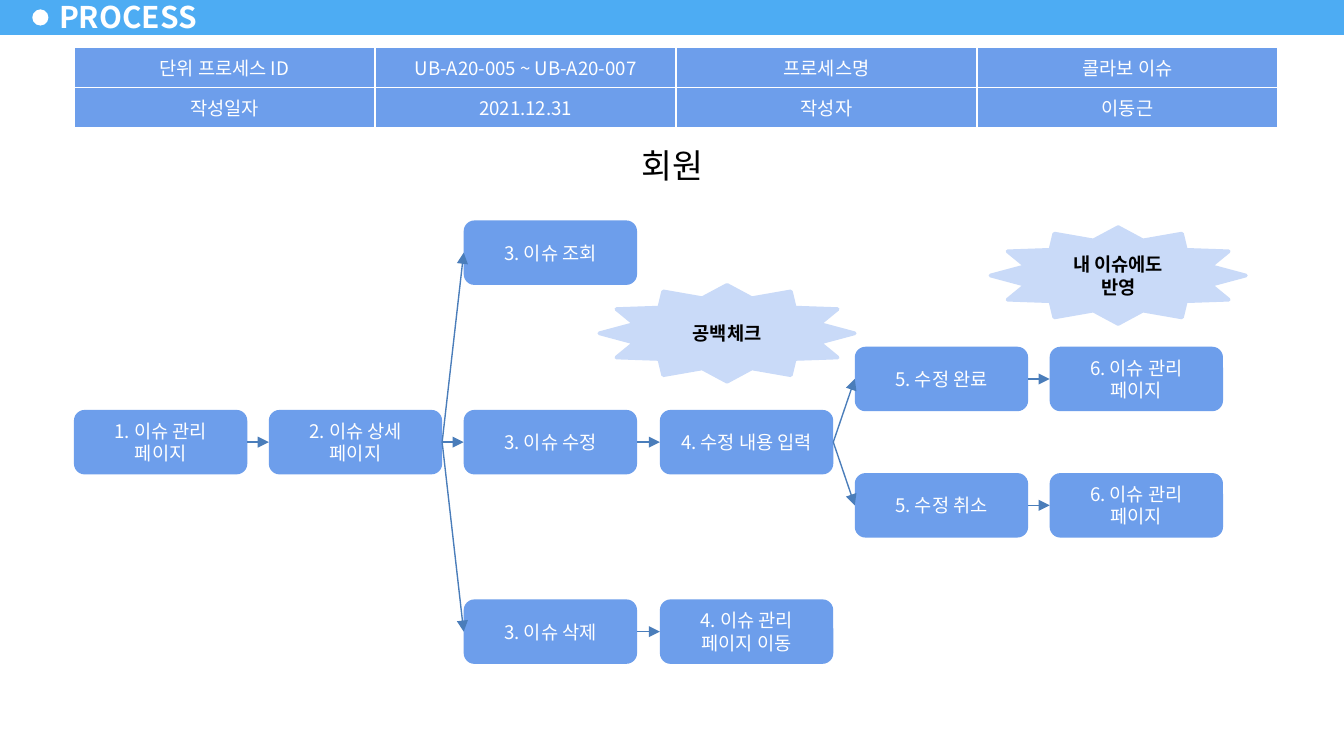
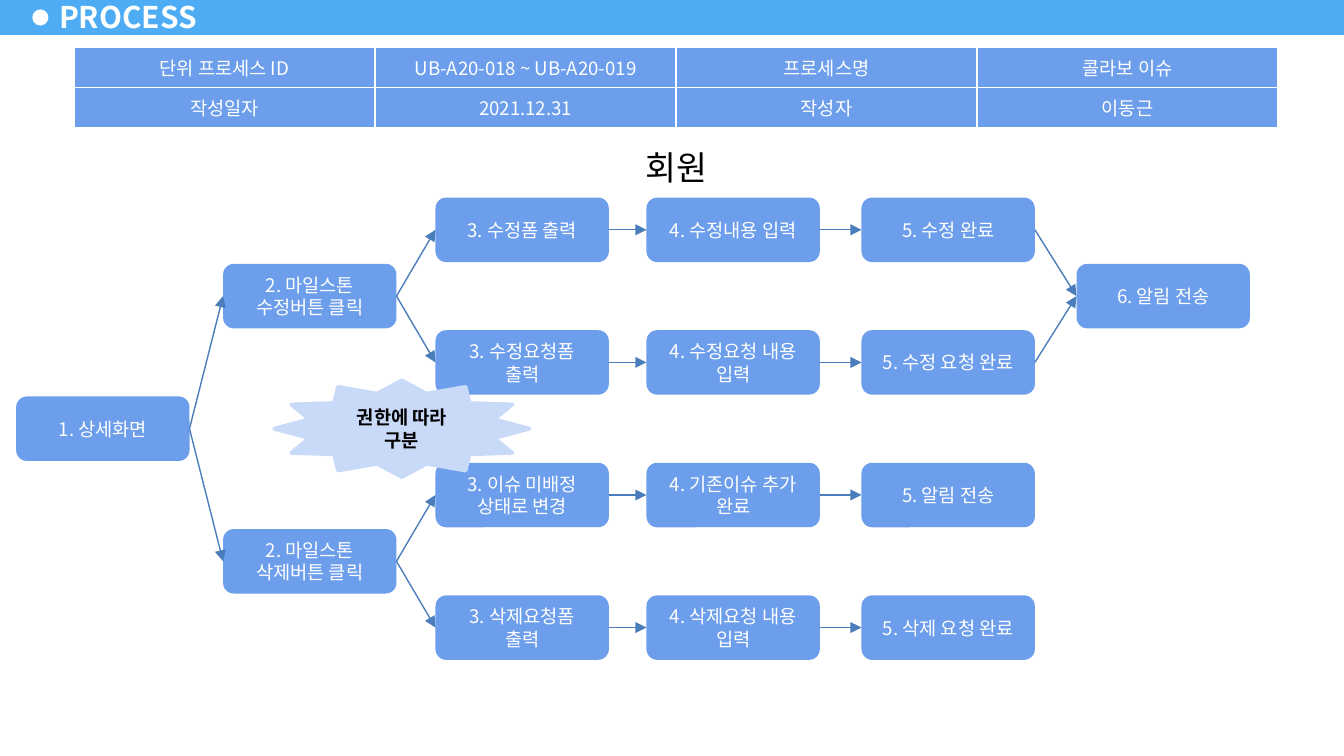
import pptx
import pptx.util
import pptx.dml.color
import pptx.enum.shapes
import pptx.enum.text
import pptx.oxml.ns
from lxml import etree

# Shared style
FONT = "Noto Sans CJK KR"
COLORS = {"band": "4DACF3", "box": "6D9EEB", "arrow": "4A7DBA",
          "note": "C9DAF8", "white": "FFFFFF", "black": "000000"}
SLIDE_W = 10
SLIDE_H = SLIDE_W * 9 / 16
BOX_W, BOX_H = 1.29, 0.48
NOTE_W, NOTE_H = 1.9, 0.72
TABLE_AT = (0.55, 0.35, 8.96, 0.6)

# Content: steps and links are addressed by (column, row) of each slide's grid
SLIDES = [
    {
        "ids": "UB-A20-005 ~ UB-A20-007",
        "actor": ("회원", (3.97, 1.03, 2.07, 0.41)),
        "cols": [0.55 + 1.45 * c for c in range(3)] + [4.91 + 1.45 * c for c in range(3)],
        "top": 1.64, "row_step": 0.47,
        "steps": {
            (0, 3): "1. 이슈 관리 페이지",
            (1, 3): "2. 이슈 상세 페이지",
            (2, 0): "3. 이슈 조회",
            (2, 3): "3. 이슈 수정",
            (2, 6): "3. 이슈 삭제",
            (3, 3): "4. 수정 내용 입력",
            (3, 6): "4. 이슈 관리 페이지 이동",
            (4, 2): "5. 수정 완료",
            (4, 4): "5. 수정 취소",
            (5, 2): "6. 이슈 관리 페이지",
            (5, 4): "6. 이슈 관리 페이지",
        },
        "links": {
            (0, 3): [(1, 3)],
            (1, 3): [(2, 0), (2, 3), (2, 6)],
            (2, 3): [(3, 3)],
            (2, 6): [(3, 6)],
            (3, 3): [(4, 2), (4, 4)],
            (4, 2): [(5, 2)],
            (4, 4): [(5, 4)],
        },
        "notes": [("공백체크", 4.46, 2.12), ("내 이슈에도 반영", 7.37, 1.69)],
    },
    {
        "ids": "UB-A20-018 ~ UB-A20-019",
        "actor": ("회원", (3.24, 1.04, 3.58, 0.41)),
        "cols": [0.12, 1.66, 3.24, 4.81, 6.41, 8.01],
        "top": 1.47, "row_step": 2.96 / 6,
        "steps": {
            (0, 3): "1. 상세화면",
            (1, 1): "2. 마일스톤 수정버튼 클릭",
            (1, 5): "2. 마일스톤 삭제버튼 클릭",
            (2, 0): "3. 수정폼 출력",
            (2, 2): "3. 수정요청폼 출력",
            (2, 4): "3. 이슈 미배정 상태로 변경",
            (2, 6): "3. 삭제요청폼 출력",
            (3, 0): "4. 수정내용 입력",
            (3, 2): "4. 수정요청 내용 입력",
            (3, 4): "4. 기존이슈 추가 완료",
            (3, 6): "4. 삭제요청 내용 입력",
            (4, 0): "5. 수정 완료",
            (4, 2): "5. 수정 요청 완료",
            (4, 4): "5. 알림 전송",
            (4, 6): "5. 삭제 요청 완료",
            (5, 1): "6. 알림 전송",
        },
        "links": {
            (0, 3): [(1, 1), (1, 5)],
            (1, 1): [(2, 0), (2, 2)],
            (1, 5): [(2, 4), (2, 6)],
            **{(c, r): [(c + 1, r)] for c in (2, 3) for r in (0, 2, 4, 6)},
            (4, 0): [(5, 1)],
            (4, 2): [(5, 1)],
        },
        "notes": [("권한에 따라 구분", 2.04, 2.83)],
    },
]

MSO = pptx.enum.shapes.MSO_SHAPE
ALIGN = pptx.enum.text.PP_ALIGN
ANCHOR = pptx.enum.text.MSO_ANCHOR
qn = pptx.oxml.ns.qn


def inches(*values):
    return [pptx.util.Inches(v) for v in values]


def rgb(name):
    return pptx.dml.color.RGBColor.from_string(COLORS[name])


def set_text(tf, text, size=10, color="white", bold=False, align=ALIGN.CENTER):
    p = tf.paragraphs[0]
    p.text = text
    p.alignment = align
    p.font.size = pptx.util.Pt(size)
    p.font.bold = bold
    p.font.color.rgb = rgb(color)
    p.font.name = FONT
    # Hangul takes the East Asian typeface
    props = p._p.pPr.find(qn("a:defRPr"))
    etree.SubElement(props, qn("a:ea"), typeface=FONT)


def set_frame(tf, anchor, x, y):
    tf.word_wrap = True
    tf.vertical_anchor = anchor
    tf.margin_left = tf.margin_right = pptx.util.Inches(x)
    tf.margin_top = tf.margin_bottom = pptx.util.Inches(y)


def add_shape(s, kind, at, fill, text="", anchor=ANCHOR.MIDDLE, **style):
    sp = s.shapes.add_shape(kind, *inches(*at))
    sp.shadow.inherit = False
    sp.fill.solid()
    sp.fill.fore_color.rgb = rgb(fill)
    sp.line.fill.background()
    if text:
        set_frame(sp.text_frame, anchor, 0.1, 0.05)
        set_text(sp.text_frame, text, **style)
    return sp


def add_header(s):
    add_shape(s, MSO.RECTANGLE, (0, -0.02, SLIDE_W, 0.28), "band")
    add_shape(s, MSO.OVAL, (0.24, 0.07, 0.12, 0.12), "white")
    tb = s.shapes.add_textbox(*inches(0.35, -0.04, 1.22, 0.32))
    set_frame(tb.text_frame, ANCHOR.MIDDLE, 0.09, 0.04)
    set_text(tb.text_frame, "PROCESS", 16, bold=True, align=ALIGN.LEFT)


def add_info_table(s, ids):
    rows = [("단위 프로세스 ID", ids, "프로세스명", "콜라보 이슈"),
            ("작성일자", "2021.12.31", "작성자", "이동근")]
    table = s.shapes.add_table(2, 4, *inches(*TABLE_AT)).table
    table.first_row = table.horz_banding = False
    for r, row in enumerate(rows):
        for c, text in enumerate(row):
            cell = table.cell(r, c)
            cell.vertical_anchor = ANCHOR.MIDDLE
            set_text(cell.text_frame, text)
            for side in ("L", "R", "T", "B"):
                ln = etree.SubElement(cell._tc.tcPr, qn("a:ln" + side), w="12700")
                fill = etree.SubElement(ln, qn("a:solidFill"))
                etree.SubElement(fill, qn("a:srgbClr"), val=COLORS["white"])
            cell.fill.solid()
            cell.fill.fore_color.rgb = rgb("box")


def add_arrow(s, start, end):
    cx = s.shapes.add_connector(pptx.enum.shapes.MSO_CONNECTOR.STRAIGHT, 0, 0, 0, 0)
    cx.begin_connect(start, 3)
    cx.end_connect(end, 1)
    cx.line.color.rgb = rgb("arrow")
    cx.line.width = pptx.util.Pt(0.75)
    etree.SubElement(cx.line._get_or_add_ln(), qn("a:tailEnd"), type="triangle")
    etree.SubElement(cx._element.spPr, qn("a:effectLst"))


def add_note(s, text, x, y):
    sp = add_shape(s, MSO.STAR_12_POINT, (x, y, NOTE_W, NOTE_H), "note", text,
                   color="black", bold=True)
    sp.adjustments[0] = 0.375
    sp.line.color.rgb = rgb("note")
    sp.line.width = pptx.util.Pt(2)
    etree.SubElement(sp.line._get_or_add_ln(), qn("a:round"))


def add_process(prs, data):
    s = prs.slides.add_slide(prs.slide_layouts[6])
    add_header(s)
    add_info_table(s, data["ids"])
    actor, at = data["actor"]
    add_shape(s, MSO.RECTANGLE, at, "white", actor, ANCHOR.TOP, size=18, color="black")

    # Steps, then the arrows between them, then the notes on top
    boxes = {}
    for (c, r), text in data["steps"].items():
        at = (data["cols"][c], data["top"] + r * data["row_step"], BOX_W, BOX_H)
        boxes[c, r] = add_shape(s, MSO.ROUNDED_RECTANGLE, at, "box", text)
    for start, ends in data["links"].items():
        for end in ends:
            add_arrow(s, boxes[start], boxes[end])
    for note in data["notes"]:
        add_note(s, *note)


def main():
    prs = pptx.Presentation()
    prs.slide_width, prs.slide_height = inches(SLIDE_W, SLIDE_H)
    for data in SLIDES:
        add_process(prs, data)
    prs.save("out.pptx")


if __name__ == "__main__":
    main()
